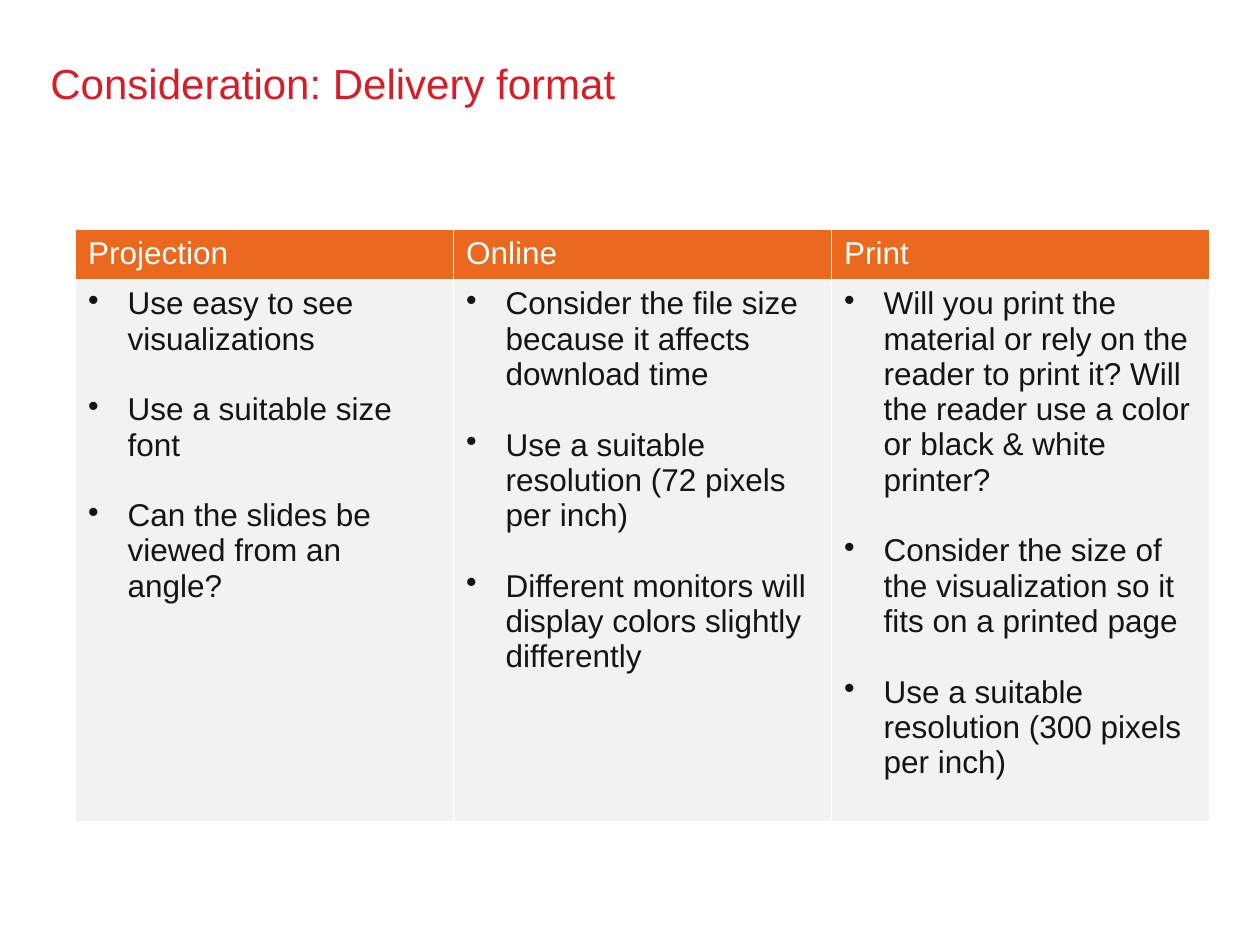
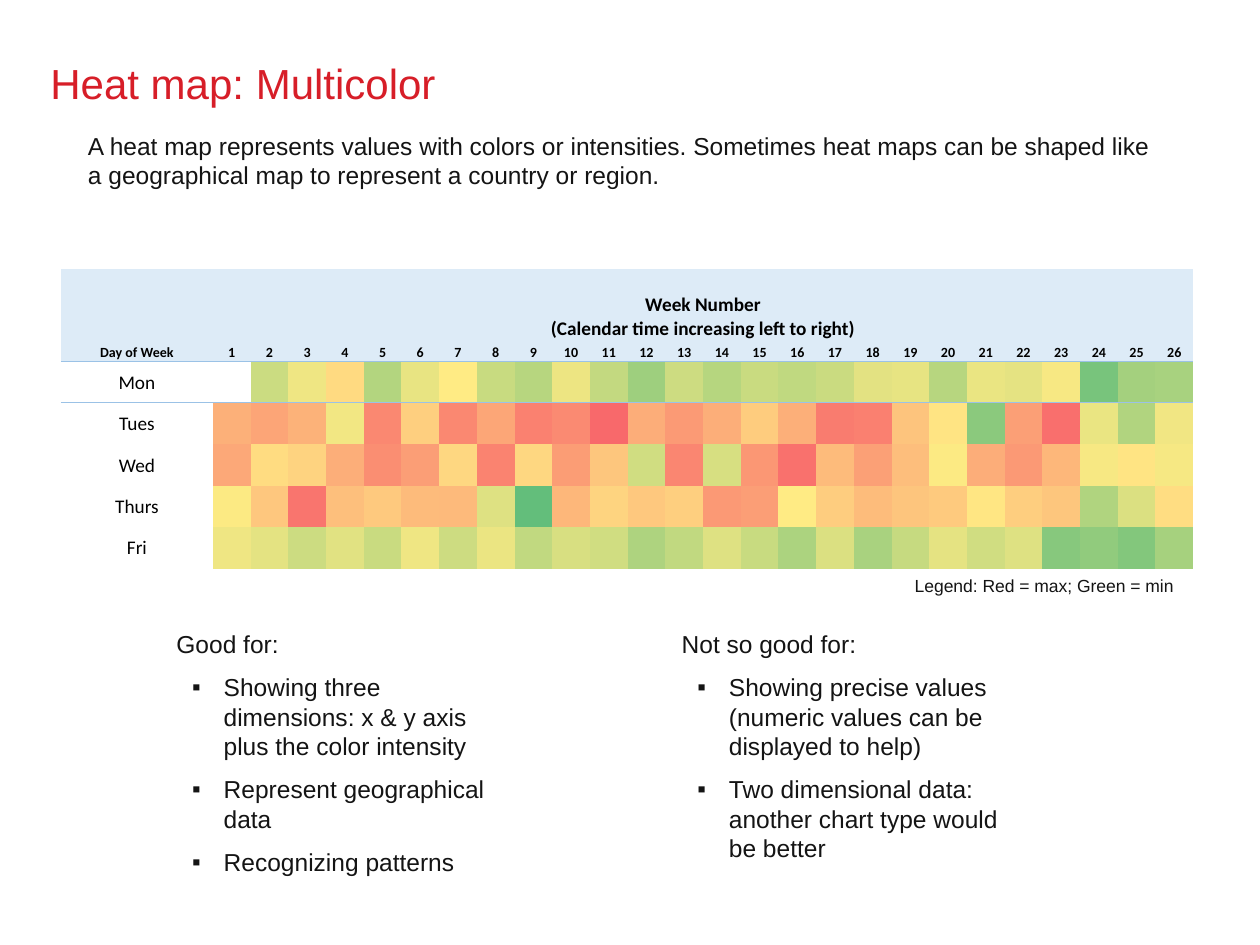
import lxml.etree
import pptx
import pptx.dml.color
import pptx.enum.text
import pptx.oxml.ns
import pptx.util

Pt = pptx.util.Pt
Align = pptx.enum.text.PP_ALIGN
Anchor = pptx.enum.text.MSO_ANCHOR
qn = pptx.oxml.ns.qn

THEME = {
    "header": "EB691E",
    "panel": "F2F2F2",
    "week_band": "DDEBF7",
    "week_line": "9BC2E6",
    "border": "FFFFFF",
    "plain_table": "{2D5ABB26-0587-4C30-8999-92F81FD0307C}",
    "title": {"color": "D71E28", "font": {"name": "Arial", "size": Pt(24), "bold": False}},
    "table_head": {"color": "FFFFFF", "font": {"name": "Arial", "size": Pt(18)}},
    "table_body": {"color": "141414", "font": {"name": "Arial", "size": Pt(18)}},
    "body": {"color": "141414", "font": {"name": "Arial", "size": Pt(14)}},
    "legend": {"color": "141414", "font": {"name": "Arial", "size": Pt(10)}},
    "week_title": {"color": "000000", "font": {"name": "Calibri", "size": Pt(11), "bold": True}},
    "week": {"color": "000000", "font": {"name": "Calibri", "size": Pt(8), "bold": True}},
    "day": {"color": "000000", "font": {"name": "Calibri", "size": Pt(11), "bold": False}},
}


def write(frame, texts, style, bullet=None, indent=0, hanging=0, gap=0, align=Align.LEFT):
    for number, text in enumerate(texts):
        first = number == 0 and not frame.text
        para = frame.paragraphs[0] if first else frame.add_paragraph()
        properties = para._p.get_or_add_pPr()
        properties.set("marL", str(Pt(indent)))
        properties.set("indent", str(-Pt(hanging)))
        mark = lxml.etree.SubElement(properties, qn("a:buChar" if bullet else "a:buNone"))
        if bullet:
            mark.set("char", bullet)
        para.alignment = align
        para.space_before = Pt(0 if first else gap)
        span = para.add_run()
        span.text = text
        for name, value in THEME[style]["font"].items():
            setattr(span.font, name, value)
        span.font.color.rgb = pptx.dml.color.RGBColor.from_string(THEME[style]["color"])


def paint(cell, fill, line=None, sides=(), width=1):
    for side in sides:
        edge = lxml.etree.SubElement(cell._tc.get_or_add_tcPr(), qn("a:ln" + side), w=str(Pt(width)))
        solid = lxml.etree.SubElement(edge, qn("a:solidFill"))
        lxml.etree.SubElement(solid, qn("a:srgbClr"), val=line)
    if fill:
        cell.fill.solid()
        cell.fill.fore_color.rgb = pptx.dml.color.RGBColor.from_string(fill)
    else:
        cell.fill.background()


deck = pptx.Presentation()
deck.slide_width, deck.slide_height = Pt(720), Pt(540)
delivery = deck.slides.add_slide(deck.slide_layouts[5])
heat = deck.slides.add_slide(deck.slide_layouts[3])

for page, text in ((delivery, "Consideration: Delivery format"), (heat, "Heat map: Multicolor")):
    title = page.shapes.title
    place = {"left": 28.8, "top": 36, "width": 662.4, "height": 79.2}
    for name, value in place.items():
        setattr(title, name, Pt(value))
    frame = title.text_frame
    for side in ("left", "top", "right", "bottom"):
        setattr(frame, "margin_" + side, 0)
    frame.vertical_anchor = Anchor.TOP
    frame.auto_size = pptx.enum.text.MSO_AUTO_SIZE.NONE
    write(frame, [text], "title")
    frame.paragraphs[0].line_spacing = 0.9

FORMATS = {
    "Projection": [
        "Use easy to see visualizations",
        "Use a suitable size font",
        "Can the slides be viewed from an angle?",
    ],
    "Online": [
        "Consider the file size because it affects download time",
        "Use a suitable resolution (72 pixels per inch)",
        "Different monitors will display colors slightly differently",
    ],
    "Print": [
        "Will you print the material or rely on the reader to print it? "
        "Will the reader use a color or black & white printer?",
        "Consider the size of the visualization so it fits on a printed page",
        "Use a suitable resolution (300 pixels per inch)",
    ],
}
format_frame = delivery.shapes.add_table(2, 3, Pt(43.2), Pt(131.2), Pt(648), Pt(338.4))
format_table = format_frame.table
format_table.rows[0].height, format_table.rows[1].height = Pt(28.8), Pt(309.6)
for column, (heading, advice) in enumerate(FORMATS.items()):
    head, body = format_table.cell(0, column), format_table.cell(1, column)
    write(head.text_frame, [heading], "table_head")
    write(body.text_frame, advice, "table_body", "•", 22.5, 22.5, 20.2)
    paint(head, THEME["header"], THEME["border"], "LRTB")
    paint(body, THEME["panel"], THEME["border"], "LRTB")

DAYS = {
    "Mon": "- CBDC81 EFE683 FFDA81 B3D57F E8E482 FFEB84 C8DB80 B7D67F EDE582 C3D980 9ECF7E CDDC81 "
           "B6D67F C9DB80 C0D980 CADB80 E3E282 E7E482 B7D67F EAE582 E5E382 F7E883 78C47C A4D07E A8D27F",
    "Tues": "FCB079 FCA577 FCB279 F2E783 FA8871 FECF7F FA8871 FCA677 FA8170 FA8A72 F8696B FCAD79 FB9A75 "
            "FCAE79 FECC7E FCAF79 F97C6F FA8070 FDC47D FFE483 8BC97D FB9F76 F96F6D EAE582 B1D47F F1E683",
    "Wed": "FCA878 FFDC81 FED380 FCAE79 FA8E72 FB9E76 FED781 FA8370 FED781 FB9D75 FDC67D D0DD81 FA8671 "
           "D7DF81 FB9774 F9716D FDBB7B FBA076 FDBE7C FCEA83 FCAD79 FB9975 FDB77A F7E883 FFE483 F6E883",
    "Thurs": "FCEA83 FEC77E F9756E FDBF7C FEC97E FDBB7B FDBA7B DEE182 63BE7B FDB77A FED480 FEC87E FECF7F "
             "FB9975 FB9E76 FFEB84 FECD7F FDBC7B FDC57D FECA7E FFE683 FECE7F FDC67D B0D47F DBE081 FFDD82",
    "Fri": "EFE683 E4E382 CCDC81 E1E282 C9DB80 EFE683 CDDC81 EBE582 C1D980 D8DF81 D0DD81 AED37F C1D980 "
           "DEE182 C8DB80 ACD37F DBE081 A9D27F C6DA80 E5E382 D0DD81 DEE182 87C87D 91CB7D 83C77C A6D17E",
}
WEEKS = 26
heat_frame = heat.shapes.add_table(7, WEEKS + 1, Pt(34.8), Pt(153.6), Pt(647.46), Pt(171.3))
heat_table = heat_frame.table
for row, height in zip(heat_table.rows, [41.2, 11.6] + [23.7] * len(DAYS)):
    row.height = Pt(height)
for column, width in zip(heat_table.columns, [86.9] + [21.56] * WEEKS):
    column.width = Pt(width)
for cell in heat_table.iter_cells():
    for side, margin in {"left": 0.6, "top": 0.6, "right": 0.6, "bottom": 0}.items():
        setattr(cell, "margin_" + side, Pt(margin))
    cell.vertical_anchor = Anchor.BOTTOM

week_title = heat_table.cell(0, 1)
week_title.merge(heat_table.cell(0, WEEKS))
write(week_title.text_frame, ["Week Number", "(Calendar time increasing left to right)"],
      "week_title", align=Align.CENTER)
for column in range(WEEKS + 1):
    paint(heat_table.cell(0, column), THEME["week_band"])
    week = heat_table.cell(1, column)
    write(week.text_frame, [str(column or "Day of Week")], "week", align=Align.CENTER)
    paint(week, THEME["week_band"], THEME["week_line"], "B", 0.5)
for row, (day, shades) in enumerate(DAYS.items(), 2):
    label = heat_table.cell(row, 0)
    label.vertical_anchor = Anchor.MIDDLE
    write(label.text_frame, [day], "day", align=Align.CENTER)
    for column, shade in enumerate(["-"] + shades.split()):
        paint(heat_table.cell(row, column), None if shade == "-" else shade,
              THEME["week_line"], "T" if row == 2 else "", 0.5)

for table_frame in (format_frame, heat_frame):
    table_frame.table.first_row = table_frame.table.horz_banding = False
    for style_id in table_frame._element.iter(qn("a:tableStyleId")):
        style_id.text = THEME["plain_table"]

intro = heat.shapes.add_textbox(Pt(43.2), Pt(71.3), Pt(630.7), Pt(51.1))
intro.text_frame.word_wrap = True
write(intro.text_frame, ["A heat map represents values with colors or intensities. Sometimes heat maps "
                         "can be shaped like a geographical map to represent a country or region."], "body")

USES = (
    (93.6, "Good for:", ["Showing three dimensions: x & y axis plus the color intensity",
                         "Represent geographical data", "Recognizing patterns"]),
    (382.3, "Not so good for:", ["Showing precise values (numeric values can be displayed to help)",
                                 "Two dimensional data: another chart type would be better"]),
)
for holder, (left, heading, points) in zip(list(heat.placeholders)[1:], USES):
    place = {"left": left, "top": 355.7, "width": 205.9, "height": 169.2}
    for name, value in place.items():
        setattr(holder, name, Pt(value))
    frame = holder.text_frame
    frame.auto_size = pptx.enum.text.MSO_AUTO_SIZE.NONE
    write(frame, [heading], "body")
    write(frame, points, "body", "▪", 27, 18, 8)

legend = heat.shapes.add_textbox(Pt(522.7), Pt(328.3), Pt(149), Pt(12.2))
for side in ("left", "top", "right", "bottom"):
    setattr(legend.text_frame, "margin_" + side, 0)
legend.text_frame.word_wrap = False
write(legend.text_frame, ["Legend: Red = max; Green = min"], "legend")

deck.save("out.pptx")
